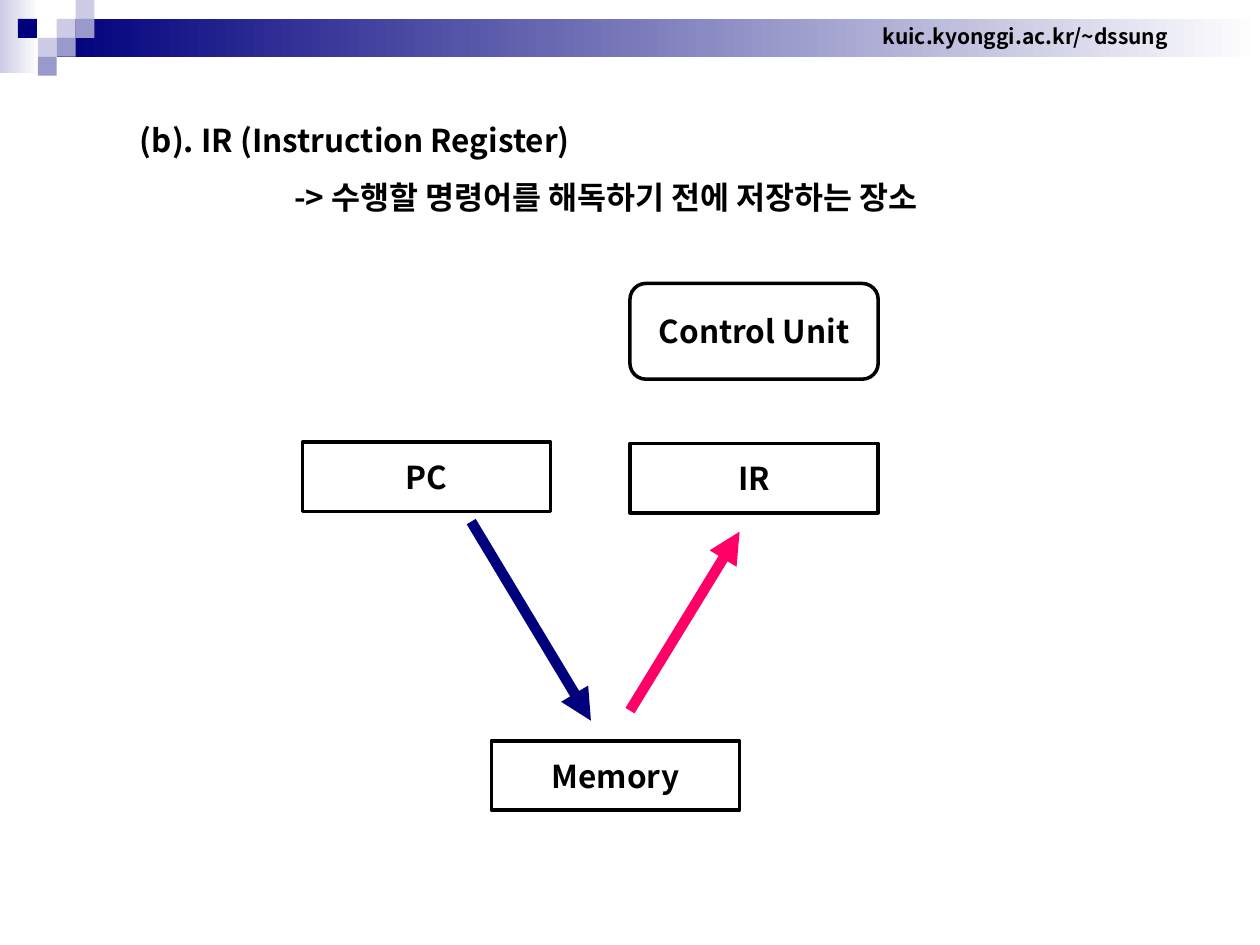
from pptx import Presentation
from pptx.dml.color import RGBColor
from pptx.enum.shapes import MSO_CONNECTOR, MSO_SHAPE
from pptx.enum.text import MSO_ANCHOR, MSO_AUTO_SIZE, PP_ALIGN
from pptx.oxml.ns import qn
from pptx.util import Inches, Pt
from lxml import etree

RECTANGLE = MSO_SHAPE.RECTANGLE
ROUNDED = MSO_SHAPE.ROUNDED_RECTANGLE
STRAIGHT = MSO_CONNECTOR.STRAIGHT
MIDDLE, TOP = MSO_ANCHOR.MIDDLE, MSO_ANCHOR.TOP
LEFT, CENTER = PP_ALIGN.LEFT, PP_ALIGN.CENTER
GROW = MSO_AUTO_SIZE.SHAPE_TO_FIT_TEXT

FONT = "Noto Sans CJK KR"
BLACK, WHITE = "000000", "FFFFFF"
NAVY, LILAC, VIOLET, PINK = "00007D", "CCCCE6", "9999CC", "FF0066"
TILE = 0.15


def color(value):
    return RGBColor.from_string(value)


def place(shape, box):
    shape.left, shape.top, shape.width, shape.height = map(Inches, box)


def write(shape, text, size=18, align=CENTER, anchor=MIDDLE, wrap=False):
    frame = shape.text_frame
    frame.text = text
    frame.word_wrap = wrap
    frame.vertical_anchor = anchor
    para = frame.paragraphs[0]
    para.alignment = align
    para.space_before = Pt(0)
    properties = para._p.get_or_add_pPr()
    properties.set("marL", "0")
    properties.set("indent", "0")
    etree.SubElement(properties, qn("a:buNone"))
    font = para.font
    font.size, font.bold, font.name = Pt(size), True, FONT
    font.color.rgb = color(BLACK)
    east_asian = etree.SubElement(properties.find(qn("a:defRPr")), qn("a:ea"))
    east_asian.set("typeface", FONT)


def add_block(page, box, fill, kind=RECTANGLE):
    block = page.shapes.add_shape(kind, *map(Inches, box))
    block.shadow.inherit = False
    block.fill.solid()
    block.fill.fore_color.rgb = color(fill)
    block.line.fill.background()
    return block


def add_fade(page, box, start):
    fill = add_block(page, box, WHITE).fill
    fill.gradient()
    fill.gradient_angle = 180
    for stop, value in zip(fill.gradient_stops, (WHITE, start)):
        stop.color.rgb = color(value)


def add_banner(page, left, top, width):
    add_fade(page, (left, top, 0.31, 0.58), LILAC)
    add_fade(page, (left + 3 * TILE, top + TILE, width - 3 * TILE, 2 * TILE), NAVY)
    tiles = [
        (3, 1, LILAC), (4, 0, LILAC), (4, 1, VIOLET), (2, 2, LILAC),
        (0.95, 1, NAVY), (3, 2, VIOLET), (2, 3, VIOLET),
    ]
    for column, row, fill in tiles:
        add_block(page, (left + column * TILE, top + row * TILE, TILE, TILE), fill)
    address = page.shapes.add_textbox(*map(Inches, (left + 6.91, top + 0.14, 2.47, 0.3)))
    write(address, "kuic.kyonggi.ac.kr/~dssung", 12, LEFT, TOP)


def add_heading(page, left, top):
    title, body = page.placeholders
    place(title, (left, top, 3.73, 0.4))
    write(title, "(b). IR (Instruction Register)", align=LEFT, wrap=True)
    place(body, (left + 1.2, top + 0.45, 5.2, 0.4))
    write(body, "-> 수행할 명령어를 해독하기 전에 저장하는 장소", wrap=True)
    for holder in (title, body):
        holder.text_frame.auto_size = GROW


def add_unit(page, text, left, top, height=0.55, kind=RECTANGLE):
    unit = add_block(page, (left, top, 1.97, height), WHITE, kind)
    unit.line.color.rgb = color(BLACK)
    unit.line.width = Pt(2)
    write(unit, text)


def add_arrow(page, start, end, value):
    arrow = page.shapes.add_connector(STRAIGHT, *map(Inches, start + end))
    arrow.line.color.rgb = color(value)
    arrow.line.width = Pt(6)
    etree.SubElement(arrow.line._get_or_add_ln(), qn("a:tailEnd")).set("type", "triangle")
    etree.SubElement(arrow._element.spPr, qn("a:effectLst"))


def add_diagram(page, left, top):
    add_unit(page, "IR", left + 2.6, top + 1.27)
    add_unit(page, "Control Unit", left + 2.6, top, 0.76, ROUNDED)
    add_unit(page, "PC", left, top + 1.26)
    add_unit(page, "Memory", left + 1.5, top + 3.63)
    add_arrow(page, (left + 1.34, top + 1.89), (left + 2.29, top + 3.47), NAVY)
    add_arrow(page, (left + 2.6, top + 3.39), (left + 3.47, top + 1.97), PINK)


def main():
    deck = Presentation()
    deck.slide_width, deck.slide_height = Inches(10), Inches(7.5)
    page = deck.slides.add_slide(deck.slide_layouts[1])
    add_banner(page, 0, 0, 10)
    add_heading(page, 1.01, 0.91)
    add_diagram(page, 2.4, 2.25)
    deck.save("out.pptx")


if __name__ == "__main__":
    main()
